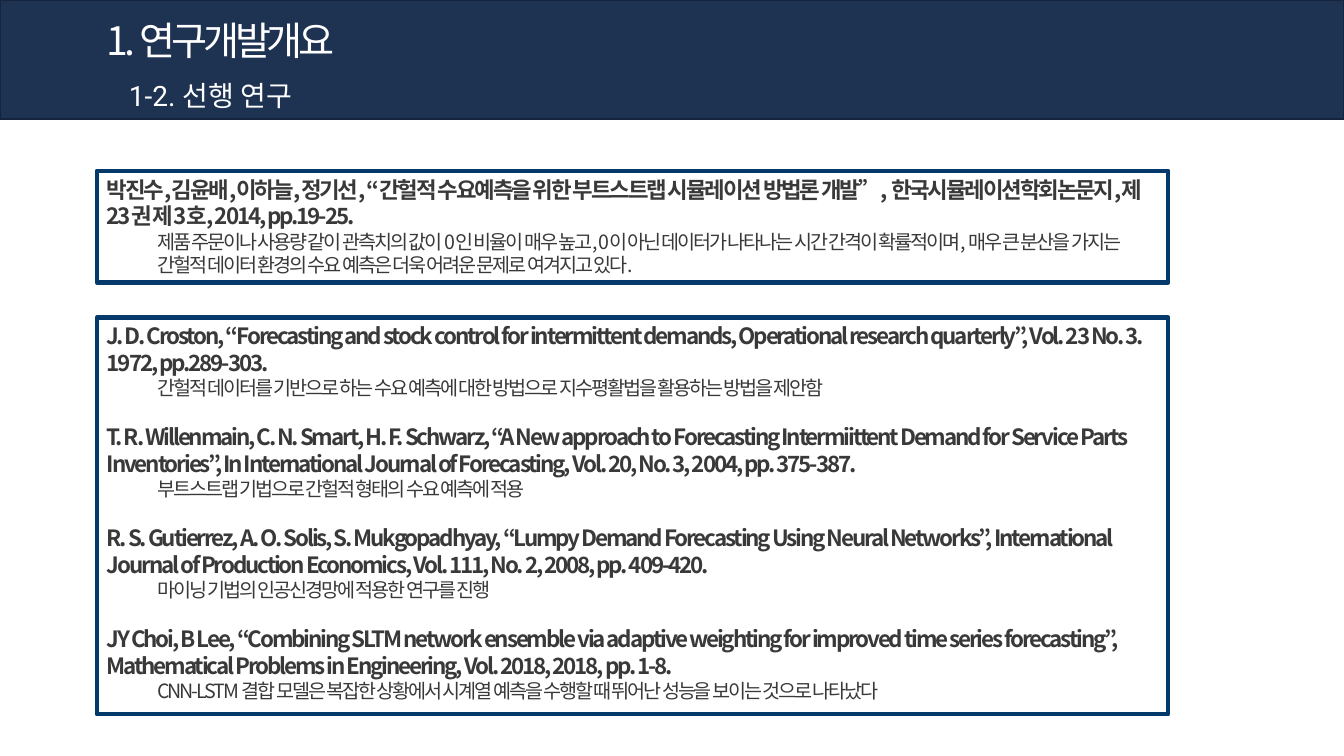
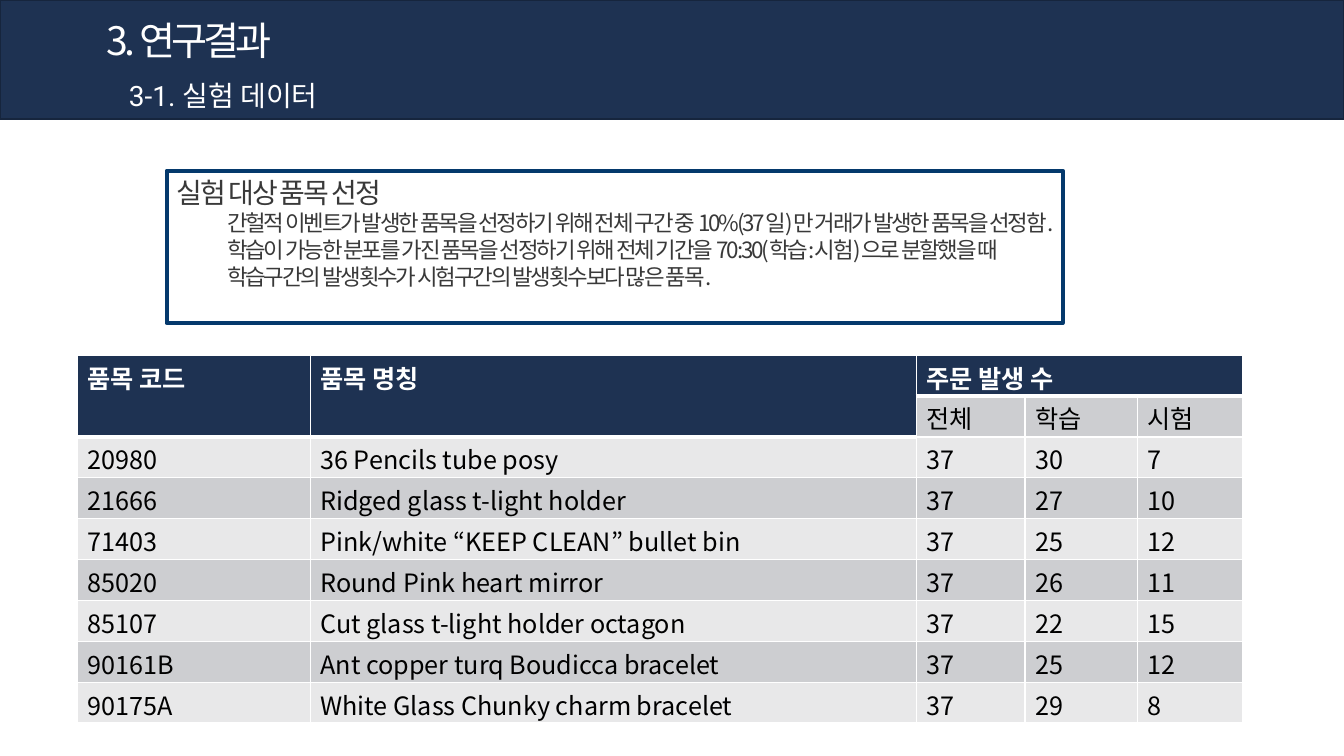
from lxml.etree import SubElement
from pptx import Presentation
from pptx.dml.color import RGBColor
from pptx.enum.text import MSO_ANCHOR, MSO_AUTO_SIZE, PP_ALIGN
from pptx.oxml import parse_xml
from pptx.oxml.ns import nsdecls, qn
from pptx.util import Cm, Pt

SLIDE_WIDTH, SLIDE_HEIGHT = 33.87, 19.05
NAVY, NAVY_EDGE, FRAME_BLUE = "1E3252", "16253D", "04396C"
WHITE, BLACK, INK = "FFFFFF", "000000", "393939"
BAND_DARK, BAND_LIGHT = "CDCED1", "E8E8E9"
KOREAN, LATIN = "Noto Sans CJK KR", "Roboto"
LINE_HEIGHT = 1.2
TWO_CONTENT, ONE_CONTENT = 3, 1
DETAIL_INDENT = 1.27

KOREAN_STUDY = [
    ("박진수,김윤배,이하늘,정기선, “간헐적 수요예측을 위한 부트스트랩 시뮬레이션 방법론 개발”, "
     "한국시뮬레이션학회논문지,제23권 제3호, 2014, pp.19-25.",
     "제품 주문이나 사용량 같이 관측치의 값이 0인 비율이 매우 높고, 0이 아닌 데이터가 나타나는 "
     "시간 간격이 확률적이며, 매우 큰 분산을 가지는 간헐적 데이터 환경의 수요 예측은 더욱 어려운 "
     "문제로 여겨지고 있다."),
]
FOREIGN_STUDIES = [
    ("J. D. Croston, “Forecasting and stock control for intermittent demands, Operational "
     "research quarterly”, Vol. 23 No. 3. 1972, pp.289-303.",
     "간헐적 데이터를 기반으로 하는 수요 예측에 대한 방법으로 지수평활법을 활용하는 방법을 제안함"),
    ("T. R. Willenmain, C. N. Smart, H. F. Schwarz, “A New approach to Forecasting "
     "Intermiittent Demand for Service Parts Inventories”, In International Journal of "
     "Forecasting, Vol. 20, No. 3, 2004, pp. 375-387.",
     "부트스트랩 기법으로 간헐적 형태의 수요 예측에 적용"),
    ("R. S. Gutierrez, A. O. Solis, S. Mukgopadhyay, “Lumpy Demand Forecasting Using Neural "
     "Networks”, International Journal of Production Economics, Vol. 111, No. 2, 2008, "
     "pp. 409-420.",
     "마이닝 기법의 인공신경망에 적용한 연구를 진행"),
    ("JY Choi, B Lee, “Combining SLTM network ensemble via adaptive weighting for improved "
     "time series forecasting”, Mathematical Problems in Engineering, Vol. 2018, 2018, pp. 1-8.",
     "CNN-LSTM 결합 모델은 복잡한 상황에서 시계열 예측을 수행할 때 뛰어난 성능을 보이는 것으로 나타났다"),
]
SELECTION_RULES = [
    ("실험 대상 품목 선정",
     "간헐적 이벤트가 발생한 품목을 선정하기 위해 전체 구간 중 10%(37일)만 거래가 발생한 품목을 선정함.",
     "학습이 가능한 분포를 가진 품목을 선정하기 위해 전체 기간을 70:30(학습:시험)으로 분할했을 때 "
     "학습구간의 발생횟수가 시험구간의 발생횟수보다 많은 품목."),
]
ORDER_ROWS = [
    ("품목 코드", "품목 명칭", "주문 발생 수", "", ""),
    ("", "", "전체", "학습", "시험"),
    ("20980", "36 Pencils tube posy", "37", "30", "7"),
    ("21666", "Ridged glass t-light holder", "37", "27", "10"),
    ("71403", "Pink/white “KEEP CLEAN” bullet bin", "37", "25", "12"),
    ("85020", "Round Pink heart mirror", "37", "26", "11"),
    ("85107", "Cut glass t-light holder octagon", "37", "22", "15"),
    ("90161B", "Ant copper turq Boudicca bracelet", "37", "25", "12"),
    ("90175A", "White Glass Chunky charm bracelet", "37", "29", "8"),
]
ORDER_COLUMNS = [5.87, 15.27, 2.74, 2.84, 2.64]
ORDER_ROW_HEIGHT = 1.03


def rgb(color):
    return RGBColor.from_string(color)


def place(shape, left, top, width, height):
    shape.left, shape.top = Cm(left), Cm(top)
    shape.width, shape.height = Cm(width), Cm(height)


def outline(shape, color, weight):
    shape.line.color.rgb = rgb(color)
    shape.line.width = Pt(weight)


def format_text(paragraph, size, color, bold=False, tracking=0, latin=KOREAN):
    paragraph.alignment = PP_ALIGN.LEFT
    paragraph.line_spacing = Pt(round(size * LINE_HEIGHT, 1))
    for run in paragraph.runs:
        font = run.font
        font.size, font.bold, font.name = Pt(size), bold, latin
        font.color.rgb = rgb(color)
        properties = run._r.get_or_add_rPr()
        if tracking:
            properties.set("spc", str(int(tracking * 100)))
        SubElement(properties, qn("a:ea")).set("typeface", KOREAN)


def add_header(slide, section, topic):
    """Fill the title placeholder as the top band and set the topic below it."""
    title = slide.shapes.title
    place(title, 0, 0, SLIDE_WIDTH, 3)
    title.fill.solid()
    title.fill.fore_color.rgb = rgb(NAVY)
    outline(title, NAVY_EDGE, 1)
    frame = title.text_frame
    frame.text = section
    frame.auto_size = MSO_AUTO_SIZE.NONE
    frame.vertical_anchor = MSO_ANCHOR.TOP
    frame.margin_left, frame.margin_top = Cm(2.69), Cm(0.42)
    format_text(frame.paragraphs[0], 28, WHITE, tracking=-3)

    subtitle = slide.shapes.add_textbox(Cm(3), Cm(1.85), Cm(20), Cm(1.12)).text_frame
    subtitle.word_wrap = True
    subtitle.text = topic
    format_text(subtitle.paragraphs[0], 20, WHITE, latin=LATIN)


def fill_framed_list(body, box, entries, heading_size, detail_size, bold_heading):
    """Write entries, each a heading followed by its details, in an outlined body."""
    place(body, *box)
    outline(body, FRAME_BLUE, 3)
    frame = body.text_frame
    frame.auto_size = MSO_AUTO_SIZE.NONE
    frame.vertical_anchor = MSO_ANCHOR.TOP
    lines = [(text, level > 0) for entry in entries for level, text in enumerate(entry)]
    frame.text = "\n".join(text for text, _ in lines)
    for index, (paragraph, (_, is_detail)) in enumerate(zip(frame.paragraphs, lines)):
        paragraph.level = int(is_detail)
        properties = paragraph._p.get_or_add_pPr()
        properties.set("marL", str(Cm(DETAIL_INDENT) if is_detail else 0))
        properties.set("indent", "0")
        SubElement(properties, qn("a:buNone"))
        starts_entry = index > 0 and not is_detail
        paragraph.space_before = Pt(detail_size * LINE_HEIGHT if starts_entry else 0)
        format_text(paragraph, detail_size if is_detail else heading_size, INK,
                    bold=bold_heading and not is_detail, tracking=-1.5)


def is_header(row, column):
    return row == 0 or (row == 1 and column < 2)


def set_borders(cell, top, bottom):
    properties = cell._tc.get_or_add_tcPr()
    weights = {"lnL": 1, "lnR": 1, "lnT": top, "lnB": bottom}
    for position, (edge, weight) in enumerate(weights.items()):
        properties.insert(position, parse_xml(
            f'<a:{edge} {nsdecls("a")} w="{Pt(weight)}"><a:solidFill>'
            f'<a:srgbClr val="{WHITE}"/></a:solidFill></a:{edge}>'))


def add_order_table(slide, left, top):
    table = slide.shapes.add_table(
        len(ORDER_ROWS), len(ORDER_COLUMNS), Cm(left), Cm(top),
        Cm(sum(ORDER_COLUMNS)), Cm(ORDER_ROW_HEIGHT * len(ORDER_ROWS))).table
    table.horz_banding = False
    for column, width in zip(table.columns, ORDER_COLUMNS):
        column.width = Cm(width)
    for row, values in enumerate(ORDER_ROWS):
        table.rows[row].height = Cm(ORDER_ROW_HEIGHT)
        for column, value in enumerate(values):
            cell = table.cell(row, column)
            header = is_header(row, column)
            cell.text = value
            cell.margin_top, cell.margin_bottom = Cm(0.25), Cm(0)
            format_text(cell.text_frame.paragraphs[0], 18,
                        WHITE if header else BLACK, bold=header)
            cell.fill.solid()
            band = BAND_DARK if row % 2 else BAND_LIGHT
            cell.fill.fore_color.rgb = rgb(NAVY if header else band)
            below_header = row > 0 and is_header(row - 1, column)
            set_borders(cell, 3 if below_header else 1, 3 if header else 1)
    for first, last in [((0, 0), (1, 0)), ((0, 1), (1, 1)), ((0, 2), (0, 4))]:
        table.cell(*first).merge(table.cell(*last))


def add_prior_studies(deck):
    slide = deck.slides.add_slide(deck.slide_layouts[TWO_CONTENT])
    add_header(slide, "1. 연구개발개요", "1-2. 선행 연구")
    _, korean, foreign = slide.placeholders
    fill_framed_list(korean, (2.44, 4.3, 27, 2.82), KOREAN_STUDY, 16, 14, True)
    fill_framed_list(foreign, (2.44, 8, 27, 10), FOREIGN_STUDIES, 16, 14, True)


def add_experiment_data(deck):
    slide = deck.slides.add_slide(deck.slide_layouts[ONE_CONTENT])
    add_header(slide, "3. 연구결과", "3-1. 실험 데이터")
    _, rules = slide.placeholders
    fill_framed_list(rules, (4.2, 4.3, 22.58, 3.84), SELECTION_RULES, 20, 16, False)
    add_order_table(slide, 1.95, 8.95)


def main():
    deck = Presentation()
    deck.slide_width, deck.slide_height = Cm(SLIDE_WIDTH), Cm(SLIDE_HEIGHT)
    add_prior_studies(deck)
    add_experiment_data(deck)
    deck.save("out.pptx")


if __name__ == "__main__":
    main()
